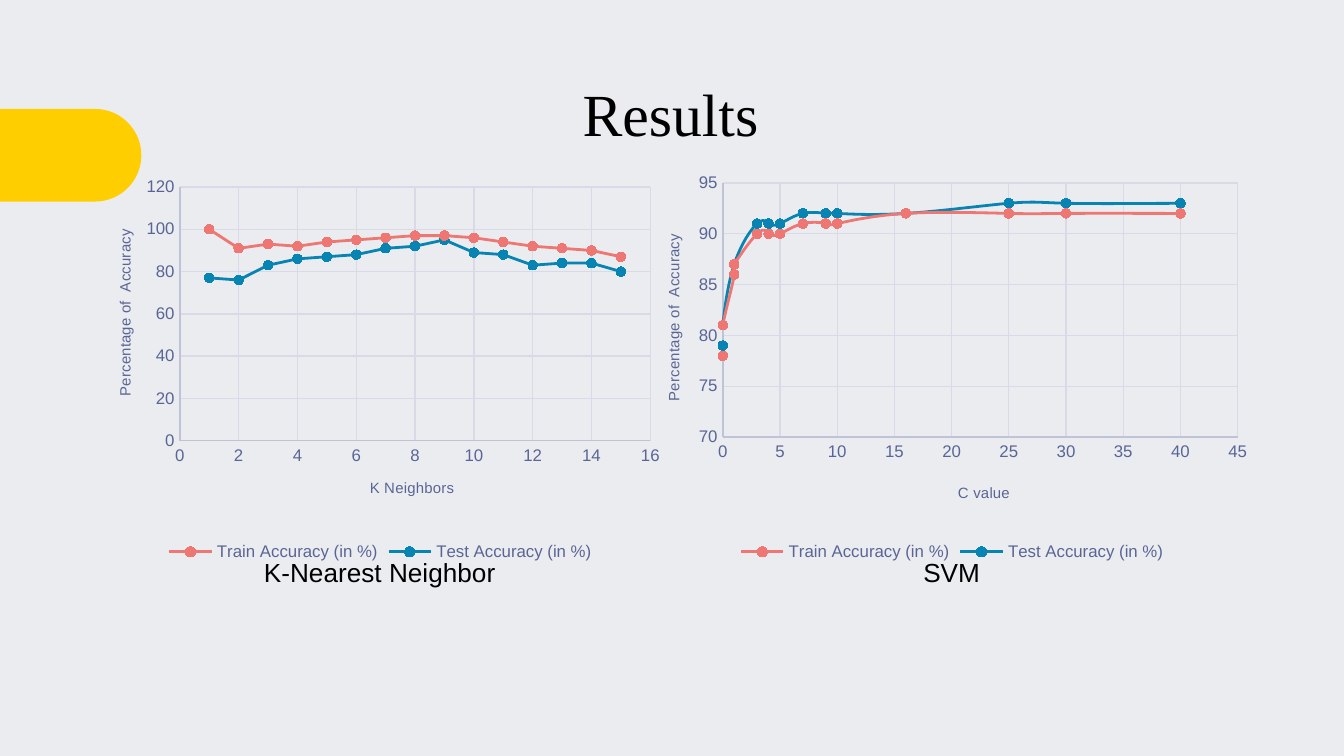
from pptx import Presentation
from pptx.chart.data import XyChartData
from pptx.dml.color import RGBColor
from pptx.enum import chart as charts, shapes, text
from pptx.oxml import parse_xml
from pptx.oxml.ns import nsdecls, qn
from pptx.util import Cm, Pt

BACKGROUND = RGBColor(0xEA, 0xEC, 0xF0)
YELLOW = RGBColor(0xFF, 0xCE, 0x00)
BLACK = RGBColor(0, 0, 0)
LABEL = RGBColor(0x5B, 0x65, 0x95)
AXIS = RGBColor(0xBF, 0xC3, 0xD8)
GRID = RGBColor(0xD8, 0xDB, 0xE7)
DARK = RGBColor(0x24, 0x28, 0x3B)
CORAL = RGBColor(0xEE, 0x76, 0x73)
BLUE = RGBColor(0x07, 0x84, 0xB1)

SERIES = [("Train Accuracy (in %)", CORAL), ("Test Accuracy (in %)", BLUE)]
Y_TITLE = "Percentage of  Accuracy"
CHART_TOP, CHART_HEIGHT = 3.02, 7.7

# Axis ranges are (minimum, maximum, step); places are fractions of the chart.
CHARTS = [
    {
        "type": charts.XL_CHART_TYPE.XY_SCATTER_LINES, "smooth": False,
        "left": 1.68, "width": 11.02,
        "plot": (0.156, 0.067, 0.807, 0.623),
        "x_axis": ("K Neighbors", (0, 16, 2), (0.477, 0.775)),
        "y_axis": (Y_TITLE, (0, 120, 20), (0.04, 0.163)),
        "x": list(range(1, 16)),
        "values": [
            [100, 91, 93, 92, 94, 95, 96, 97, 97, 96, 94, 92, 91, 90, 87],
            [77, 76, 83, 86, 87, 88, 91, 92, 95, 89, 88, 83, 84, 84, 80],
        ],
    },
    {
        "type": charts.XL_CHART_TYPE.XY_SCATTER_SMOOTH, "smooth": True,
        "left": 12.14, "width": 11.71,
        "plot": (0.13, 0.057, 0.831, 0.624),
        "x_axis": ("C value", (0, 45, 5), (0.505, 0.785)),
        "y_axis": (Y_TITLE, (70, 95, 5), (0.03, 0.175)),
        "x": [0, 0, 1, 1, 3, 4, 5, 7, 9, 10, 16, 25, 30, 40],
        "values": [
            [78, 81, 86, 87, 90, 90, 90, 91, 91, 91, 92, 92, 92, 92],
            [79, 81, 87, 87, 91, 91, 91, 92, 92, 92, 92, 93, 93, 93],
        ],
    },
]

TITLE = ("Results", "Times New Roman", 32, (10.76, 1.33, 3.89, 1.63))
CAPTIONS = [
    ("K-Nearest Neighbor", "Arial", 14, (4.74, 10.39, 4.9, 0.86)),
    ("SVM", "Arial", 14, (17.2, 10.39, 1.6, 0.86)),
]


def style_font(font, size, color, name="Arial"):
    font.name, font.size, font.bold = name, Pt(size), False
    font.color.rgb = color


def style_line(line, color, width):
    line.color.rgb = color
    line.width = Pt(width)


def add_label(slide, words, font_name, size, box):
    shape = slide.shapes.add_textbox(*map(Cm, box))
    frame = shape.text_frame
    frame.word_wrap = False
    frame.auto_size = text.MSO_AUTO_SIZE.SHAPE_TO_FIT_TEXT
    run = frame.paragraphs[0].add_run()
    run.text = words
    style_font(run.font, size, BLACK, font_name)


def set_layout(parent, index, place, inner=False):
    """Fix the place of a plot area or an axis title within its chart."""
    for old in parent.findall(qn("c:layout")):
        parent.remove(old)
    parts = [("layoutTarget", "inner")] if inner else []
    parts += [("xMode", "edge"), ("yMode", "edge")]
    parts += zip("xywh", place)
    body = "".join(f'<c:{tag} val="{value}"/>' for tag, value in parts)
    parent.insert(index, parse_xml(
        f'<c:layout {nsdecls("c")}><c:manualLayout>{body}'
        "</c:manualLayout></c:layout>"))


def style_axis(axis, words, scale, place, vertical):
    axis.minimum_scale, axis.maximum_scale, axis.major_unit = scale
    axis.has_major_gridlines = True
    style_line(axis.major_gridlines.format.line, GRID, 0.75)
    style_line(axis.format.line, AXIS, 0.75)
    axis.major_tick_mark = axis.minor_tick_mark = charts.XL_TICK_MARK.NONE
    style_font(axis.tick_labels.font, 9, LABEL)
    title = axis.axis_title
    run = title.text_frame.paragraphs[0].add_run()
    run.text = words
    style_font(run.font, 8, LABEL)
    if vertical:
        body = next(title._element.iter(qn("a:bodyPr")))
        body.set("rot", "-5400000")
        body.set("vert", "horz")
    set_layout(title._element, 1, place)


def set_smooth(series, smooth):
    for old in series._element.findall(qn("c:smooth")):
        series._element.remove(old)
    series._element.append(parse_xml(
        f'<c:smooth {nsdecls("c")} val="{int(smooth)}"/>'))


def add_accuracy_chart(slide, content):
    data = XyChartData()
    for (name, _), values in zip(SERIES, content["values"]):
        series = data.add_series(name)
        for x, y in zip(content["x"], values):
            series.add_data_point(x, y)
    box = (content["left"], CHART_TOP, content["width"], CHART_HEIGHT)
    chart = slide.shapes.add_chart(
        content["type"], *map(Cm, box), data).chart
    style_font(chart.font, 10, DARK)
    chart.has_title = False
    chart.has_legend = True
    chart.legend.position = charts.XL_LEGEND_POSITION.BOTTOM
    chart.legend.include_in_layout = False
    style_font(chart.legend.font, 9, LABEL)
    style_axis(chart.category_axis, *content["x_axis"], vertical=False)
    style_axis(chart.value_axis, *content["y_axis"], vertical=True)
    plot = chart.plots[0]
    plot.vary_by_categories = False
    for series, (_, color) in zip(plot.series, SERIES):
        style_line(series.format.line, color, 1.5)
        marker = series.marker
        marker.style, marker.size = charts.XL_MARKER_STYLE.CIRCLE, 5
        marker.format.fill.solid()
        marker.format.fill.fore_color.rgb = color
        style_line(marker.format.line, color, 0.75)
        set_smooth(series, content["smooth"])
    plot_area = next(chart._chartSpace.iter(qn("c:plotArea")))
    set_layout(plot_area, 0, content["plot"], inner=True)


def add_side_tab(slide):
    tab = slide.shapes.add_shape(
        shapes.MSO_SHAPE.ROUND_2_SAME_RECTANGLE,
        Cm(0.46), Cm(1.6), Cm(1.75), Cm(2.67))
    tab.adjustments[0], tab.adjustments[1] = 0.5, 0
    tab.rotation = 90
    tab.shadow.inherit = False
    tab.fill.solid()
    tab.fill.fore_color.rgb = YELLOW
    tab.line.fill.background()


def main():
    presentation = Presentation()
    presentation.slide_width, presentation.slide_height = Cm(25.4), Cm(14.29)
    slide = presentation.slides.add_slide(presentation.slide_layouts[6])
    slide.background.fill.solid()
    slide.background.fill.fore_color.rgb = BACKGROUND
    add_side_tab(slide)
    add_label(slide, *TITLE)
    for content in CHARTS:
        add_accuracy_chart(slide, content)
    for caption in CAPTIONS:
        add_label(slide, *caption)
    presentation.save("out.pptx")


if __name__ == "__main__":
    main()
